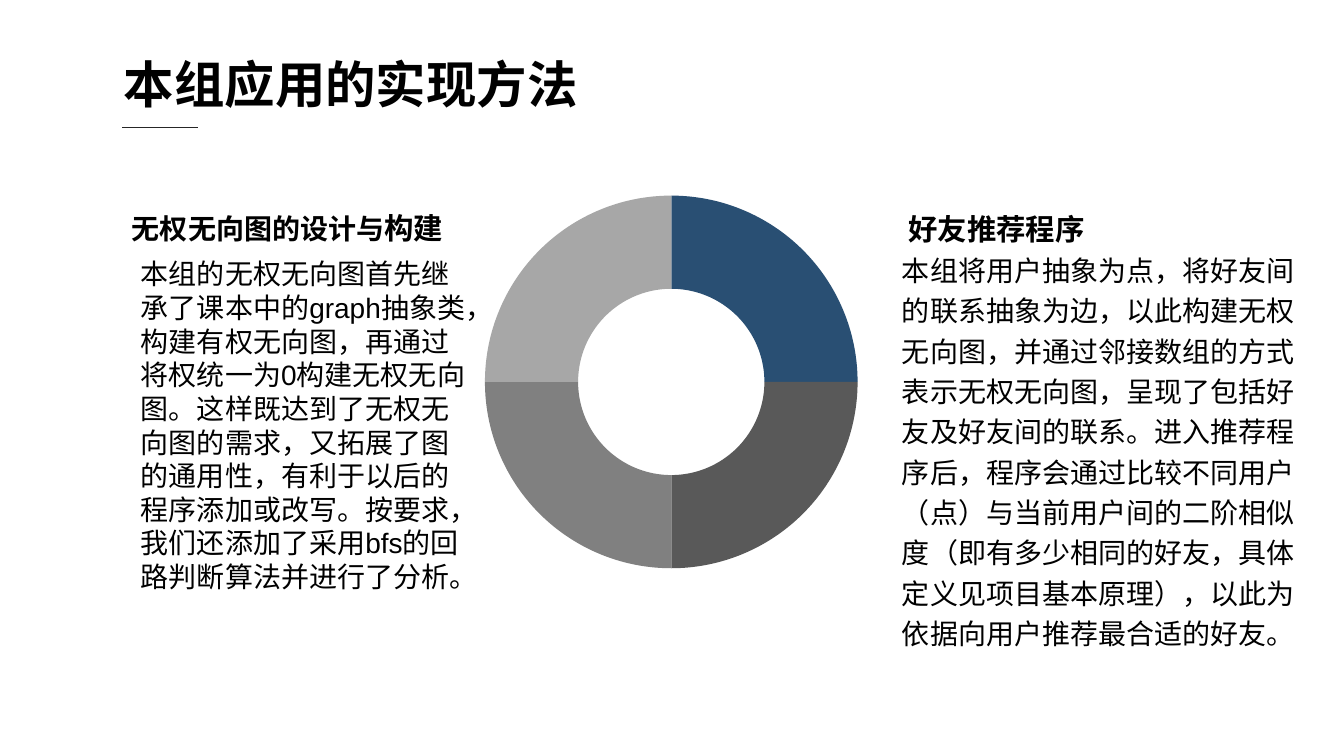
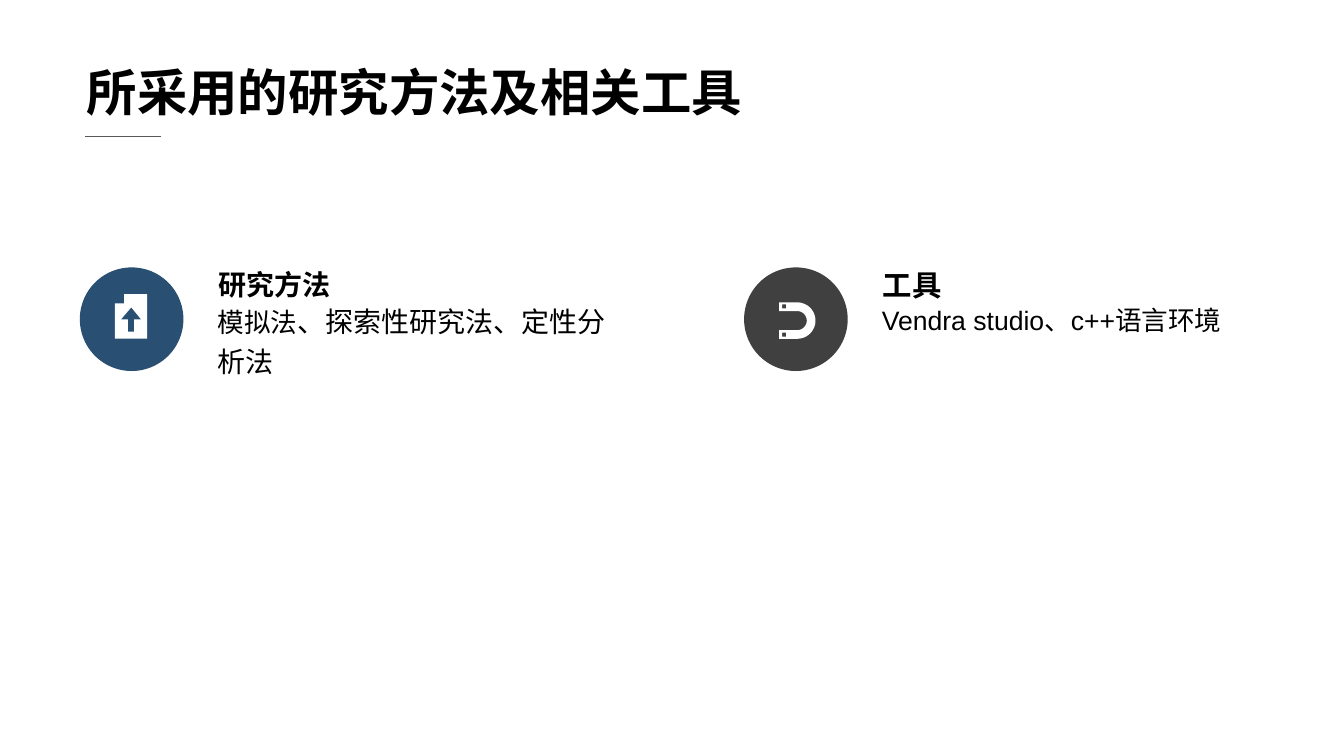
from math import cos, pi, sin

from lxml.etree import SubElement
from pptx import Presentation
from pptx.chart.data import CategoryChartData
from pptx.dml.color import RGBColor
from pptx.enum.chart import XL_CHART_TYPE
from pptx.enum.shapes import MSO_CONNECTOR, MSO_SHAPE
from pptx.enum.text import MSO_AUTO_SIZE, PP_ALIGN
from pptx.oxml.ns import qn
from pptx.util import Pt

BLACK = RGBColor(0x00, 0x00, 0x00)
WHITE = RGBColor(0xFF, 0xFF, 0xFF)
NAVY = RGBColor(0x29, 0x4F, 0x73)
CHARCOAL = RGBColor(0x40, 0x40, 0x40)
RULE_DARK = RGBColor(0x26, 0x26, 0x26)
GREY_DARK = RGBColor(0x59, 0x59, 0x59)
GREY_MID = RGBColor(0x80, 0x80, 0x80)
GREY_LIGHT = RGBColor(0xA7, 0xA7, 0xA7)

BODY_INSET = (7.2, 3.6)
HEAD_INSET = (5, 3)
NO_INSET = (0, 0)


def add_text(s, box, runs, font, inset, bold=False, **para):
    """Add a wrapped text box; runs are (text, size) pairs, para holds paragraph formats."""
    tb = s.shapes.add_textbox(*map(Pt, box))
    tf = tb.text_frame
    dx, dy = map(Pt, inset)
    frame = {"word_wrap": True, "auto_size": MSO_AUTO_SIZE.SHAPE_TO_FIT_TEXT,
             "margin_left": dx, "margin_right": dx, "margin_top": dy, "margin_bottom": dy}
    for name, value in frame.items():
        setattr(tf, name, value)
    p = tf.paragraphs[0]
    for name, value in para.items():
        setattr(p, name, value)
    for text, size in runs:
        r = p.add_run()
        r.text = text
        for name, value in {"name": font, "size": Pt(size), "bold": bold}.items():
            setattr(r.font, name, value)
        r.font.color.rgb = BLACK


def add_title(s, x, y, width, text, font, color):
    """Add the slide title and the short rule below it."""
    add_text(s, (x, y, width, 49), [(text, 36)], font, HEAD_INSET, bold=True)
    left, top = x + 4, y + 56.2
    cn = s.shapes.add_connector(MSO_CONNECTOR.STRAIGHT, Pt(left), Pt(top), Pt(left + 54), Pt(top))
    cn.line.color.rgb = color
    cn.line.width = Pt(0.75)
    SubElement(cn._element.spPr, qn("a:effectLst"))


prs = Presentation()
prs.slide_width, prs.slide_height = Pt(960), Pt(540)
blank = prs.slide_layouts[6]

# Slide 1: implementation
s = prs.slides.add_slide(blank)

data = CategoryChartData()
data.categories = ["1", "2", "3", "4"]
data.add_series("Series 1", [25] * 4)
chart = s.shapes.add_chart(XL_CHART_TYPE.DOUGHNUT, Pt(262.8), Pt(125.3), Pt(433.4), Pt(289.4), data).chart
chart.has_legend = False
chart.has_title = False
chart.font.name = "Calibri"
chart.font.size = Pt(10)
chart.font.color.rgb = BLACK
plot = chart.plots[0]
for i, color in enumerate([NAVY, GREY_DARK, GREY_MID, GREY_LIGHT]):
    fill = plot.series[0].points[i].format.fill
    fill.solid()
    fill.fore_color.rgb = color

doughnut = plot._element
doughnut.find(qn("c:holeSize")).set("val", "75")
area = doughnut.getparent()
for old in area.findall(qn("c:layout")):
    area.remove(old)
layout = SubElement(area, qn("c:layout"))
area.insert(0, layout)
manual = SubElement(layout, qn("c:manualLayout"))
for tag, value in [("layoutTarget", "inner"), ("xMode", "edge"), ("yMode", "edge"),
                   ("x", "0.19"), ("y", "0.05"), ("w", "0.62"), ("h", "0.92")]:
    SubElement(manual, qn("c:" + tag)).set("val", value)

add_text(s, (93.6, 180, 247, 249.8), [(
    "本组的无权无向图首先继承了课本中的graph抽象类，构建有权无向图，再通过将权统一为0构建无权无向图。"
    "这样既达到了无权无向图的需求，又拓展了图的通用性，有利于以后的程序添加或改写。"
    "按要求，我们还添加了采用bfs的回路判断算法并进行了分析。", 20)], "Arial", BODY_INSET)
add_text(s, (89.3, 146.9, 270.7, 31), [("无权无向图的设计与", 20), ("构建", 21)],
         "Calibri", HEAD_INSET, bold=True)
add_text(s, (637.2, 172.8, 295.9, 295.2), [(
    "本组将用户抽象为点，将好友间的联系抽象为边，以此构建无权无向图，并通过邻接数组的方式表示无权无向图，"
    "呈现了包括好友及好友间的联系。进入推荐程序后，程序会通过比较不同用户（点）与当前用户间的二阶相似度"
    "（即有多少相同的好友，具体定义见项目基本原理），以此为依据向用户推荐最合适的好友。", 20)],
         "Calibri", BODY_INSET, line_spacing=1.2)
add_text(s, (613.4, 147.6, 166.3, 32.4), [("好友推荐程序", 21)], "Arial", HEAD_INSET,
         bold=True, alignment=PP_ALIGN.RIGHT)
add_title(s, 83.5, 34.6, 419, "本组应用的实现方法", "Arial", RULE_DARK)

# Slide 2: methods and tools
s = prs.slides.add_slide(blank)
add_title(s, 57, 41, 493.2, "所采用的研究方法及相关工具", "Noto Sans CJK SC", GREY_DARK)

page = [(88.6, 210.2), (88.6, 216.7), (82.1, 216.7), (82.1, 241.9), (105.1, 241.9), (105.1, 210.2)]
arrow = [(93.8, 219.6), (100.8, 228.2), (95.8, 228.2), (95.8, 236.9),
         (91.4, 236.9), (91.4, 228.2), (86.4, 228.2)]

mx, my, tail = 569.5, 229, 556.6
angles = [-pi / 2 + pi * i / 24 for i in range(25)]
outer, inner = ([(mx + radius * cos(a), my + radius * sin(a)) for a in angles] for radius in (13, 6.8))
magnet = [(tail, my - 13), *outer, (tail, my + 13), (tail, my + 6.8), *inner[::-1], (tail, my - 6.8)]
tips = [[(558.7, y), (561.6, y), (561.6, y + 2.9), (558.7, y + 2.9)] for y in (217.4, 237.6)]

columns = [
    (57, NAVY, [page, arrow], "研究方法", 20, "Times New Roman",
     [("模拟法", 19), ("、探索性研究法、定性分析法", 20)], 291.6),
    (531.5, CHARCOAL, [magnet, *tips], "工具", 21, "Arial",
     [("Vendra studio、c++语言环境", 19)], 264.2),
]
for x, color, icon, heading, size, font, body, width in columns:
    disc = s.shapes.add_shape(MSO_SHAPE.FLOWCHART_CONNECTOR, Pt(x), Pt(191), Pt(74), Pt(74))
    start, *rest = [[(Pt(px), Pt(py)) for px, py in outline] for outline in icon]
    fb = s.shapes.build_freeform(*start[0])
    fb.add_line_segments(start[1:])
    for outline in rest:
        fb.move_to(*outline[0])
        fb.add_line_segments(outline[1:])
    for sp, rgb in [(disc, color), (fb.convert_to_shape(), WHITE)]:
        sp.shadow.inherit = False
        sp.fill.solid()
        sp.fill.fore_color.rgb = rgb
        sp.line.fill.background()
    add_text(s, (x + 99, 190.8, 160, 25), [(heading, size)], font, NO_INSET, bold=True)
    add_text(s, (x + 98.5, 212.4, width, 24), body, font, NO_INSET, line_spacing=1.2)

prs.save("out.pptx")
